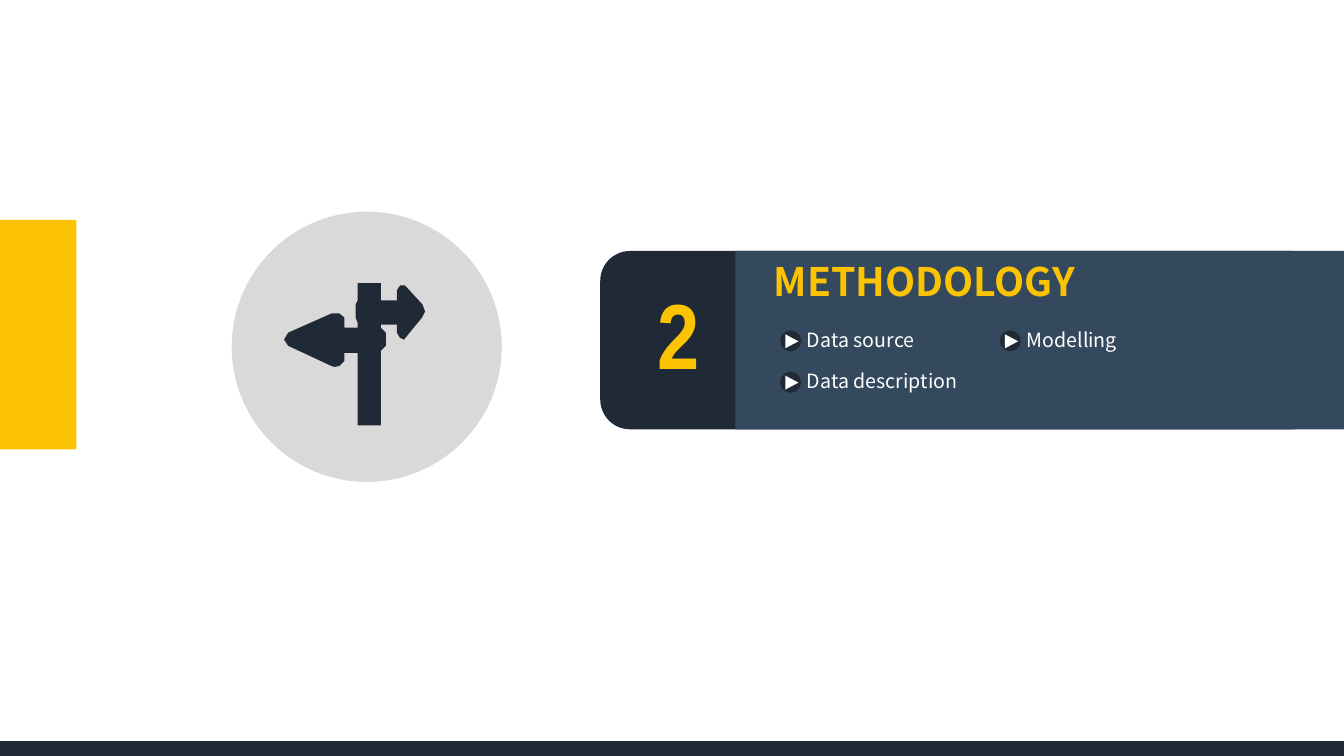
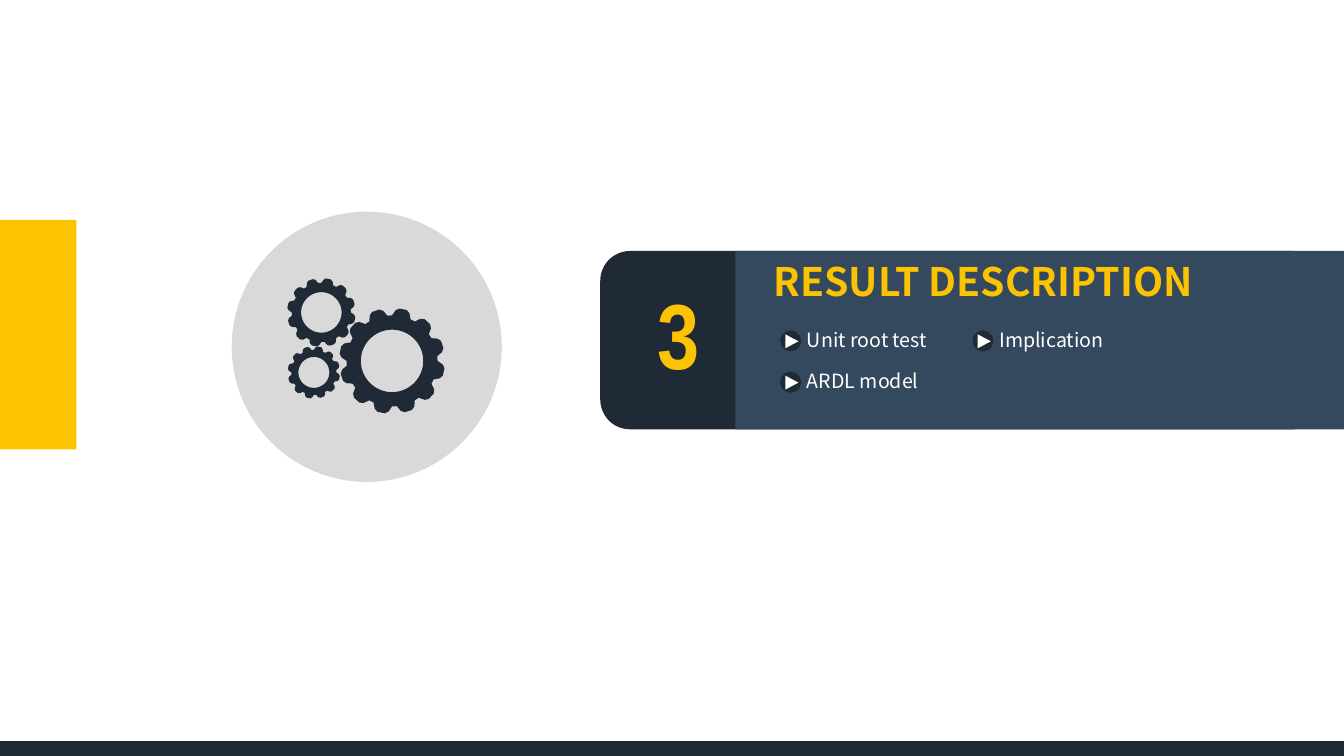
from math import cos, radians, sin

from pptx import Presentation
from pptx.dml.color import RGBColor
from pptx.enum.shapes import MSO_SHAPE
from pptx.enum.text import MSO_ANCHOR, MSO_AUTO_SIZE, PP_ALIGN
from pptx.util import Pt

NAVY, SLATE, YELLOW, GREY, WHITE = "202A36", "34495E", "FBC301", "D9D9D9", "FFFFFF"
BODY_FONT, NUMBER_FONT = "Noto Sans CJK SC", "Arial Narrow"
WIDTH, HEIGHT = 960.5, 540


def paint(shape, fill, line=None):
    shape.shadow.inherit = False
    shape.fill.solid()
    shape.fill.fore_color.rgb = RGBColor.from_string(fill)
    if line:
        shape.line.color.rgb = RGBColor.from_string(line)
        shape.line.width = Pt(2)
    else:
        shape.line.fill.background()


def write(shape, text, *, size, color, font=BODY_FONT, bold=False,
          align=PP_ALIGN.LEFT, spacing=1.0, margins=(0, 0), wrap=True):
    frame = shape.text_frame
    frame.text = text
    frame.word_wrap = wrap
    frame.auto_size = MSO_AUTO_SIZE.NONE
    frame.vertical_anchor = MSO_ANCHOR.TOP
    frame.margin_left = frame.margin_right = Pt(margins[0])
    frame.margin_top = frame.margin_bottom = Pt(margins[1])
    paragraph = frame.paragraphs[0]
    paragraph.alignment = align
    paragraph.line_spacing = spacing
    paragraph.font.name = font
    paragraph.font.size = Pt(size)
    paragraph.font.bold = bold
    paragraph.font.color.rgb = RGBColor.from_string(color)


# Shared backdrop: preset, (left, top, width, height), fill, line
BACKDROP = [
    (MSO_SHAPE.OVAL, (165.6, 151.2, 193, 193), GREY, None),
    (MSO_SHAPE.RECTANGLE, (0, 157, 54.7, 164), YELLOW, None),
    (MSO_SHAPE.ROUNDED_RECTANGLE, (429, 179.3, 516.2, 127.4), NAVY, None),
    (MSO_SHAPE.RECTANGLE, (525.6, 179.3, WIDTH - 525.6, 127.4), SLATE, None),
    (MSO_SHAPE.RECTANGLE, (0, 530.6, WIDTH, HEIGHT - 530.6), NAVY, NAVY),
]

# Signpost outline, clockwise from the tip of the right arm
signpost = [
    (303.8, 222.5), (302, 217.5), (289.4, 203.8), (286, 203.8), (283.7, 207.4),
    (283.7, 214.6), (272.2, 214.6), (272.2, 202.3), (255.6, 202.3), (255.6, 214.6),
    (254.2, 217.4), (254.2, 226.8), (255.6, 230.4), (255.6, 234), (246.2, 234),
    (246.2, 226.8), (242.6, 223.9), (236.9, 223.9), (206, 237.6), (203, 242.6),
    (206, 247), (236.9, 261.4), (239, 262.1), (242.6, 261.4), (246.2, 257.8),
    (246.2, 252), (255.6, 252), (255.6, 303.8), (272.2, 303.8), (272.2, 250.6),
    (275.8, 247), (275.8, 237.6), (272.2, 234), (272.2, 231.8), (283.7, 231.8),
    (283.7, 237.6), (285.8, 241.2), (288.7, 242.6), (301.7, 226.8),
]

# Gears: a ring of twelve rounded teeth and a round hole, scaled by radius
TOOTH = [(-12, 0.86), (-8, 0.96), (-4, 1), (4, 1), (8, 0.96), (12, 0.86)]
teeth = [(12 + 30 * tooth + turn, reach) for tooth in range(12) for turn, reach in TOOTH]
hole = [(angle, 0.59) for angle in range(0, 360, 5)]
gears = []
for center_x, center_y, radius in [(280.2, 257.8, 37.8), (229.7, 223.2, 24.5), (224.3, 266, 18.7)]:
    gears.append([
        [(center_x + radius * reach * cos(radians(angle)),
          center_y + radius * reach * sin(radians(angle))) for angle, reach in ring]
        for ring in (teeth, hole)
    ])

# Section: number, title, title width, icon parts, left of each item column, items
SECTIONS = [
    ("2", "METHODOLOGY", 249, [[signpost]], (576.7, 733.7),
     ["Data source", "Data description", "Modelling"]),
    ("3", "RESULT DESCRIPTION", 345.6, gears, (576.7, 714.2),
     ["Unit root test", "ARDL model", "Implication"]),
]

presentation = Presentation()
presentation.slide_width, presentation.slide_height = Pt(WIDTH), Pt(HEIGHT)
title_only = presentation.slide_layouts[5]

for number, heading, title_width, icon, columns, items in SECTIONS:
    slide = presentation.slides.add_slide(title_only)
    for preset, box, fill, line in BACKDROP:
        paint(slide.shapes.add_shape(preset, *map(Pt, box)), fill, line)

    # Section number
    number_box = slide.shapes.add_textbox(Pt(463), Pt(194.4), Pt(44), Pt(87))
    write(number_box, number, size=66, color=YELLOW, font=NUMBER_FONT, bold=True,
          align=PP_ALIGN.CENTER, margins=(7.2, 3.6), wrap=False)

    # Title, brought in front of the panel
    title = slide.shapes.title
    title.left, title.top, title.width, title.height = map(Pt, (548, 185, title_width, 39.6))
    write(title, heading, size=28, color=YELLOW, bold=True, spacing=0.9, margins=(5, 2.9))
    slide.shapes.element.append(title.element)

    # Icon
    for contours in icon:
        builder = None
        for contour in contours:
            points = [(Pt(x), Pt(y)) for x, y in contour]
            if builder is None:
                builder = slide.shapes.build_freeform(*points[0])
            else:
                builder.move_to(*points[0])
            builder.add_line_segments(points[1:], close=True)
        paint(builder.convert_to_shape(), NAVY)

    # Items, two to a column, each with a play button
    for index, item in enumerate(items):
        column, row = divmod(index, 2)
        left, top = columns[column], 236.2 + 29.5 * row
        group = slide.shapes.add_group_shape()
        label = group.shapes.add_textbox(Pt(left), Pt(top), Pt(154.8), Pt(17.3))
        write(label, item, size=14, color=WHITE, spacing=0.9)
        button = group.shapes.add_shape(
            MSO_SHAPE.OVAL, Pt(left - 18.2), Pt(top + 0.8), Pt(13), Pt(13))
        paint(button, NAVY, NAVY)
        arrow = group.shapes.add_shape(
            MSO_SHAPE.ISOSCELES_TRIANGLE, Pt(left - 15.8), Pt(top + 2.9), Pt(10), Pt(9.4))
        arrow.rotation = 90
        paint(arrow, WHITE)

presentation.save("out.pptx")
